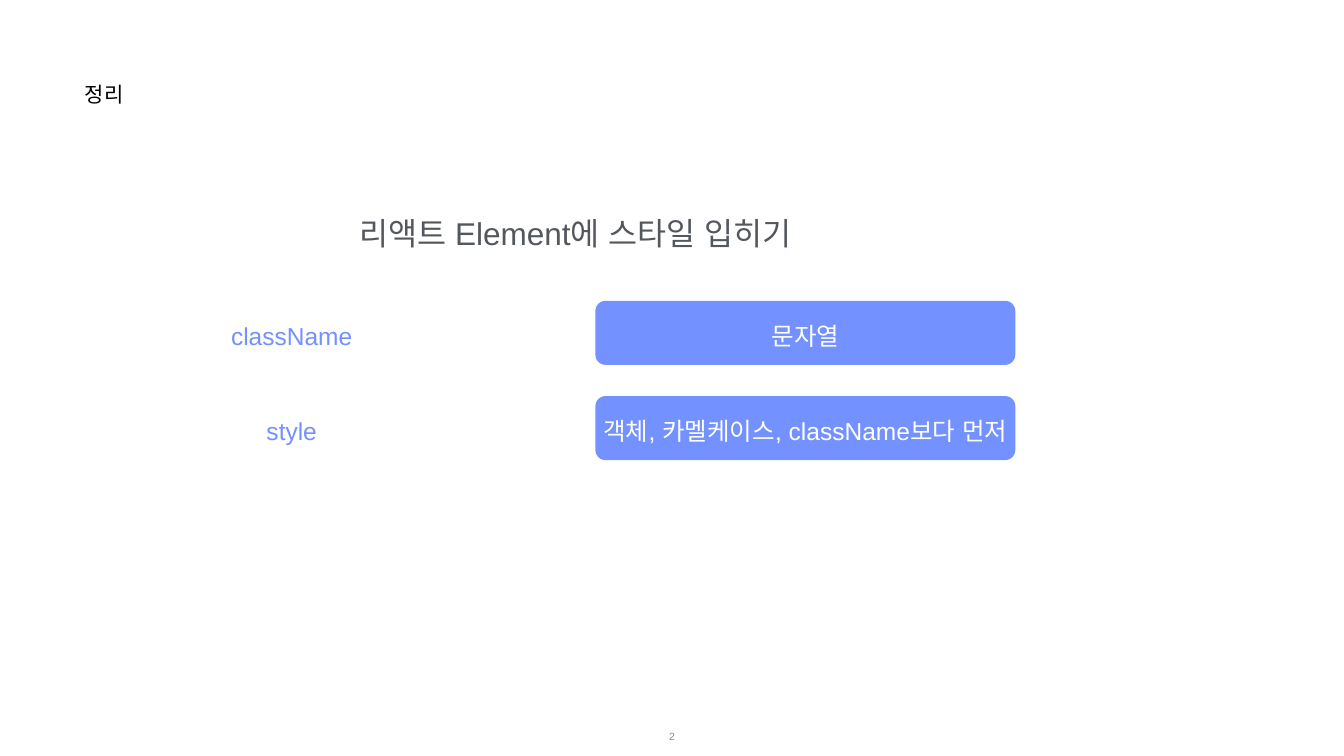
import pptx
import pptx.dml.color
import pptx.enum.shapes
import pptx.enum.text
import pptx.oxml.ns
import pptx.util
from lxml import etree

Cm = pptx.util.Cm
ALIGN = pptx.enum.text.PP_ALIGN
ANCHOR = pptx.enum.text.MSO_ANCHOR

# Content
TOPIC = "정리"
HEADING = "리액트 Element에 스타일 입히기"
PROPERTIES = [
    ("className", "문자열"),
    ("style", "객체, 카멜케이스, className보다 먼저"),
]
PAGE_NUMBER = "2"

# Style and grid, lengths in cm
FONT = "Arial"
BLUE, WHITE, BLACK = "7391FF", "FFFFFF", "000000"
DARK_GREY, LIGHT_GREY = "53585F", "888888"
ROW_TOP, ROW_PITCH = 15.16, 4.8
LABEL_LEFT, LABEL_WIDTH, LABEL_HEIGHT, LABEL_DROP = 6.76, 15.88, 1.57, 0.97
VALUE_LEFT, VALUE_WIDTH, VALUE_HEIGHT = 30, 21.16, 3.23
INSET, VALUE_TOP_INSET = 0.03, 0.3


def colour(value):
    return pptx.dml.color.RGBColor.from_string(value)


def write(shape, text, size, hex_colour, align=ALIGN.CENTER,
          anchor=ANCHOR.MIDDLE, top_inset=INSET):
    frame = shape.text_frame
    frame.word_wrap = True
    frame.auto_size = pptx.enum.text.MSO_AUTO_SIZE.NONE
    frame.vertical_anchor = anchor
    frame.margin_left = frame.margin_right = frame.margin_bottom = Cm(INSET)
    frame.margin_top = Cm(top_inset)
    paragraph = frame.paragraphs[0]
    paragraph.alignment = align
    run = paragraph.add_run()
    run.text = text
    run.font.size = pptx.util.Pt(size)
    run.font.name = FONT
    run.font.color.rgb = colour(hex_colour)
    # Korean letters take the East Asian typeface
    etree.SubElement(run.font._element, pptx.oxml.ns.qn("a:ea"), typeface=FONT)


def add_text(slide, box, *args, **options):
    write(slide.shapes.add_textbox(*map(Cm, box)), *args, **options)


def add_value(slide, top, text):
    value = slide.shapes.add_shape(
        pptx.enum.shapes.MSO_SHAPE.ROUNDED_RECTANGLE,
        Cm(VALUE_LEFT), Cm(top), Cm(VALUE_WIDTH), Cm(VALUE_HEIGHT))
    value.adjustments[0] = 0.16
    value.shadow.inherit = False
    value.fill.solid()
    value.fill.fore_color.rgb = colour(BLUE)
    value.line.fill.background()
    write(value, text, 35, WHITE, top_inset=VALUE_TOP_INSET)


def main():
    deck = pptx.Presentation()
    deck.slide_width, deck.slide_height = Cm(67.72), Cm(38.1)
    slide = deck.slides.add_slide(deck.slide_layouts[5])

    # Topic and heading
    topic = slide.shapes.title
    topic.left, topic.top, topic.width, topic.height = map(
        Cm, (4.24, 4.06, 12.34, 3))
    write(topic, TOPIC, 30, BLACK, ALIGN.LEFT, ANCHOR.TOP)
    add_text(slide, (6.71, 10.77, 44.55, 2), HEADING, 45, DARK_GREY,
             anchor=ANCHOR.TOP)

    # One row per property
    for row, (label, value) in enumerate(PROPERTIES):
        top = ROW_TOP + row * ROW_PITCH
        add_text(slide, (LABEL_LEFT, top + LABEL_DROP, LABEL_WIDTH, LABEL_HEIGHT),
                 label, 35, BLUE)
        add_value(slide, top, value)

    # Page number
    add_text(slide, (26.24, 36.1, 15.24, 2), PAGE_NUMBER, 15, LIGHT_GREY)

    deck.save("out.pptx")


if __name__ == "__main__":
    main()
